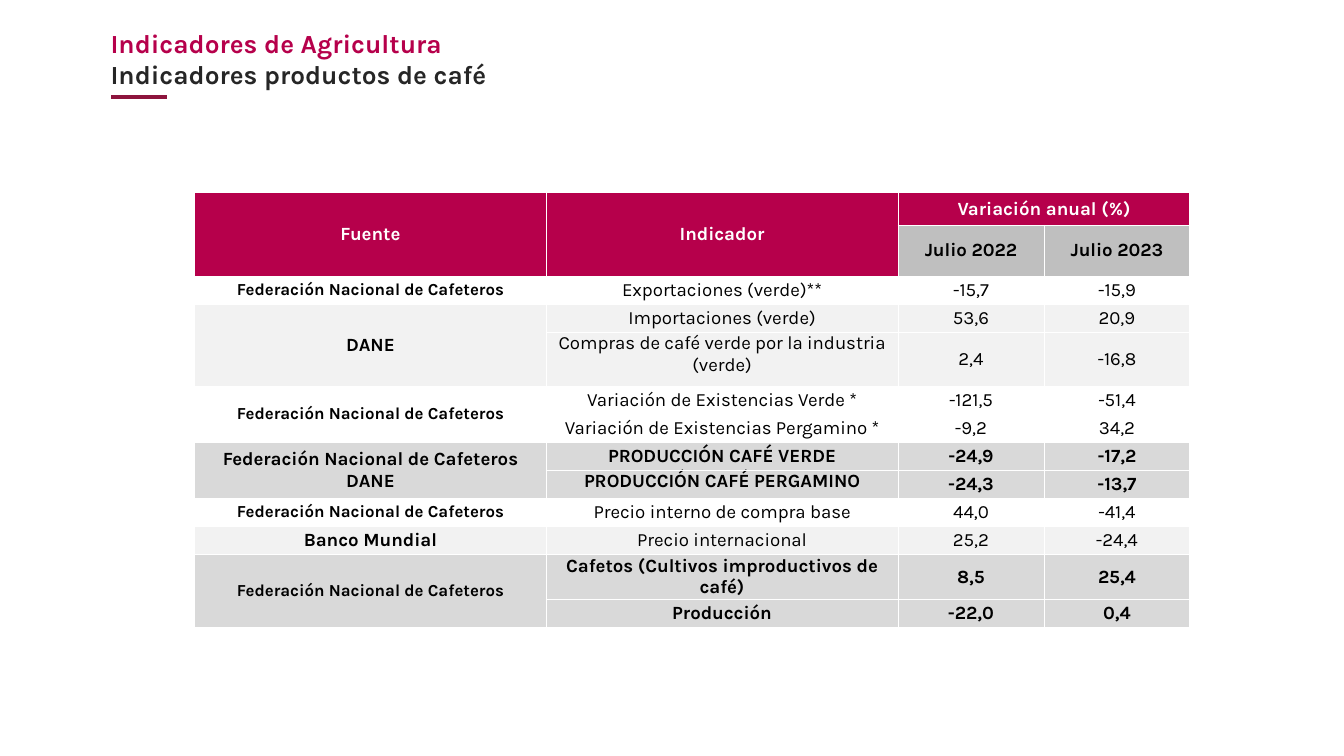
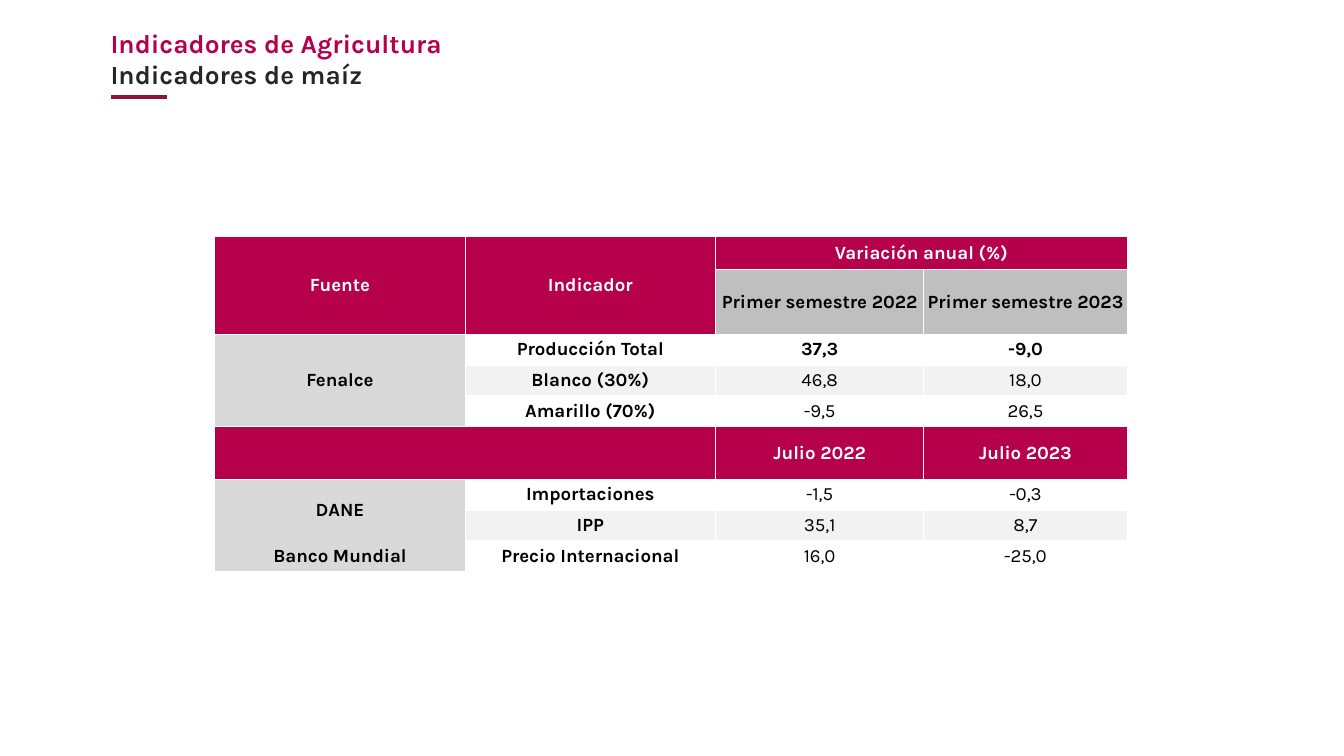
from dataclasses import dataclass
from lxml.etree import SubElement
from pptx import Presentation
from pptx.dml.color import RGBColor
from pptx.enum.text import MSO_ANCHOR, MSO_AUTO_SIZE, PP_ALIGN
from pptx.enum.shapes import MSO_CONNECTOR
from pptx.oxml.ns import qn
from pptx.util import Cm, Pt


@dataclass(frozen=True)
class Theme:
    font: str = "Karla"
    magenta: str = "B6004B"
    rule: str = "8D143D"
    ink: str = "262626"
    black: str = "000000"
    white: str = "FFFFFF"
    pale: str = "F2F2F2"
    grey: str = "D9D9D9"
    period: str = "BFBFBF"
    title: int = 14
    body: int = 10
    small: int = 9
    border: float = 0.5


T = Theme()
FNC = "Federación Nacional de Cafeteros"


def style(p, size, color, bold):
    for r in p.runs:
        r.font.name = T.font
        r.font.size = Pt(size)
        r.font.bold = bold
        r.font.color.rgb = RGBColor.from_string(color)


def set_borders(cell, open_sides):
    tcPr = cell._tc.get_or_add_tcPr()
    for i, side in enumerate("LRTB"):
        ln = tcPr.makeelement(qn(f"a:ln{side}"), {"w": str(Pt(T.border))})
        if side in open_sides:
            SubElement(ln, qn("a:noFill"))
        else:
            fill = SubElement(ln, qn("a:solidFill"))
            SubElement(fill, qn("a:srgbClr"), val=T.white)
        tcPr.insert(i, ln)


# Body rows: height, fill, number of leading bold columns, cell texts.
slides = [
    dict(
        subtitle="Indicadores productos de café",
        left=3.68, top=3.64, cols=[6.64, 6.65, 2.76, 2.76],
        periods=["Julio 2022", "Julio 2023"], period_height=0.96,
        source_fill=None,
        rows=[
            (0.53, T.white, 1, [FNC, "Exportaciones (verde)**", "-15,7", "-15,9"]),
            (0.53, T.pale, 1, ["DANE", "Importaciones (verde)", "53,6", "20,9"]),
            (1.02, T.pale, 1, [None, "Compras de café verde por la industria (verde)", "2,4", "-16,8"]),
            (0.53, T.white, 1, [FNC, "Variación de Existencias Verde *", "-121,5", "-51,4"]),
            (0.53, T.white, 1, [None, "Variación de Existencias Pergamino *", "-9,2", "34,2"]),
            (0.53, T.grey, 4, [FNC + "\vDANE", "PRODUCCIÓN CAFÉ VERDE", "-24,9", "-17,2"]),
            (0.53, T.grey, 4, [None, "PRODUCCIÓN CAFÉ PERGAMINO", "-24,3", "-13,7"]),
            (0.53, T.white, 1, [FNC, "Precio interno de compra base", "44,0", "-41,4"]),
            (0.53, T.pale, 1, ["Banco Mundial", "Precio internacional", "25,2", "-24,4"]),
            (0.53, T.grey, 4, [FNC, "Cafetos (Cultivos improductivos de café)", "8,5", "25,4"]),
            (0.53, T.grey, 4, [None, "Producción", "-22,0", "0,4"]),
        ],
        merges=[(3, 0, 4, 0), (5, 0, 6, 0), (7, 0, 8, 0), (11, 0, 12, 0)],
        top_cells=[(4, 1), (8, 1)],
        open_sides={(12, 1): "B"},
    ),
    dict(
        subtitle="Indicadores de maíz",
        left=4.06, top=4.47, cols=[4.73, 4.73, 3.94, 3.84],
        periods=["Primer semestre 2022", "Primer semestre 2023"], period_height=1.23,
        source_fill=T.grey,
        rows=[
            (0.58, T.white, 4, ["Fenalce", "Producción Total", "37,3", "-9,0"]),
            (0.58, T.pale, 2, [None, "Blanco (30%)", "46,8", "18,0"]),
            (0.58, T.white, 2, [None, "Amarillo (70%)", "-9,5", "26,5"]),
            (1, T.magenta, 4, [None, None, "Julio 2022", "Julio 2023"]),
            (0.58, T.white, 2, ["DANE", "Importaciones", "-1,5", "-0,3"]),
            (0.58, T.pale, 2, [None, "IPP", "35,1", "8,7"]),
            (0.58, T.white, 2, ["Banco Mundial", "Precio Internacional", "16,0", "-25,0"]),
        ],
        merges=[(2, 0, 4, 0), (5, 0, 5, 1), (6, 0, 7, 0)],
        top_cells=[],
        open_sides={(6, 0): "B", (7, 0): "B", (8, 0): "T"},
    ),
]

prs = Presentation()
prs.slide_width, prs.slide_height = Cm(25.4), Cm(14.29)

for d in slides:
    s = prs.slides.add_slide(prs.slide_layouts[6])

    tf = s.shapes.add_textbox(Cm(2.06), Cm(0.51), Cm(17.2), Cm(1.19)).text_frame
    tf.margin_left = tf.margin_right = tf.margin_top = tf.margin_bottom = 0
    tf.word_wrap = True
    tf.auto_size = MSO_AUTO_SIZE.SHAPE_TO_FIT_TEXT
    tf.text = "Indicadores de Agricultura\n" + d["subtitle"]
    for p, color in zip(tf.paragraphs, [T.magenta, T.ink]):
        p._p.get_or_add_pPr().set("marL", str(Cm(0.03)))
        style(p, T.title, color, True)

    rule = s.shapes.add_connector(MSO_CONNECTOR.STRAIGHT, Cm(3.15), Cm(1.83), Cm(2.1), Cm(1.83))
    rule.line.color.rgb = RGBColor.from_string(T.rule)
    rule.line.width = Pt(2)
    SubElement(rule._element.spPr, qn("a:effectLst"))

    rows = [
        (0.62, T.magenta, 4, ["Fuente", "Indicador", "Variación anual (%)", None]),
        (d["period_height"], T.period, 4, [None, None, *d["periods"]]),
        *d["rows"],
    ]
    table = s.shapes.add_table(
        len(rows), len(d["cols"]), Cm(d["left"]), Cm(d["top"]),
        Cm(sum(d["cols"])), Cm(sum(row[0] for row in rows)),
    ).table
    table.first_row = table.horz_banding = False
    for column, width in zip(table.columns, d["cols"]):
        column.width = Cm(width)
    for r0, c0, r1, c1 in [(0, 0, 1, 0), (0, 1, 1, 1), (0, 2, 0, 3), *d["merges"]]:
        table.cell(r0, c0).merge(table.cell(r1, c1))

    for i, (height, fill, bold_cols, texts) in enumerate(rows):
        table.rows[i].height = Cm(height)
        for j, text in enumerate(texts):
            cell = table.cell(i, j)
            cell.margin_left = cell.margin_right = cell.margin_top = cell.margin_bottom = 0
            is_source = j == 0 and fill in (T.white, T.pale)
            cell.fill.solid()
            cell.fill.fore_color.rgb = RGBColor.from_string(is_source and d["source_fill"] or fill)
            set_borders(cell, d["open_sides"].get((i, j), ""))
            cell.vertical_anchor = MSO_ANCHOR.TOP if (i, j) in d["top_cells"] else MSO_ANCHOR.MIDDLE
            p = cell.text_frame.paragraphs[0]
            p.font.size = Pt(T.body)
            if text:
                p.text = text
                p.alignment = PP_ALIGN.CENTER
                style(p, T.small if text == FNC else T.body,
                      T.white if fill == T.magenta else T.black, j < bold_cols)

prs.save("out.pptx")
